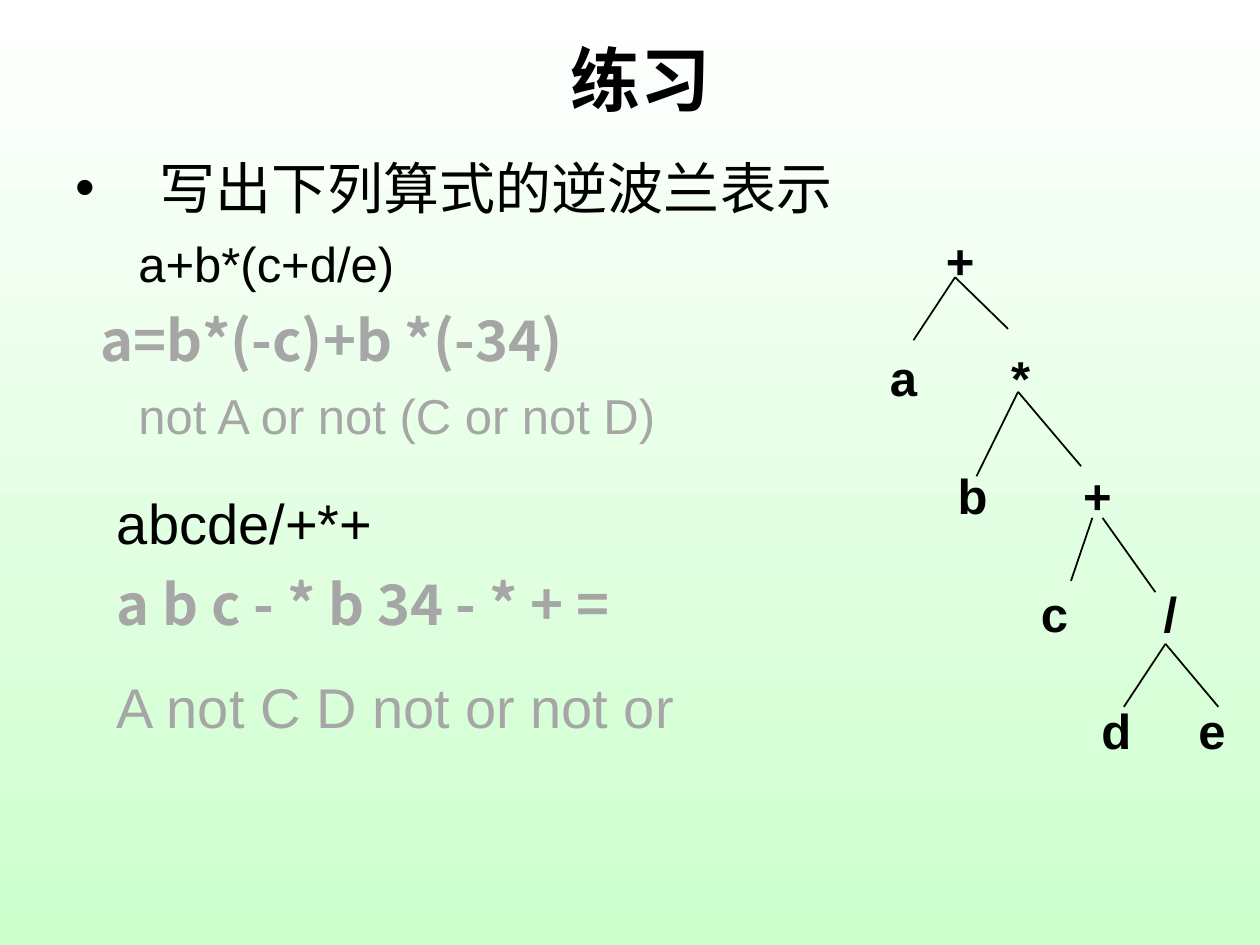
from dataclasses import dataclass

from lxml.etree import SubElement
from pptx import Presentation
from pptx.dml.color import RGBColor
from pptx.enum.shapes import MSO_CONNECTOR
from pptx.enum.text import MSO_ANCHOR, PP_ALIGN
from pptx.oxml.ns import qn
from pptx.util import Inches, Pt


@dataclass(frozen=True)
class Theme:
    ink: RGBColor = RGBColor(0, 0, 0)
    gray: RGBColor = RGBColor(0xA6, 0xA6, 0xA6)
    top: RGBColor = RGBColor(0xFF, 0xFF, 0xFF)
    base: RGBColor = RGBColor(0xCC, 0xFF, 0xCC)
    latin: str = "Arial"
    han: str = "Noto Sans CJK SC"
    head: int = 40
    large: int = 32
    small: int = 28
    lead: float = 1.2
    rule: int = 1


def apply(item, values):
    for name, value in values.items():
        setattr(item, name, value)


class Page:
    def __init__(self, deck, theme):
        self.theme = theme
        self.slide = deck.slides.add_slide(deck.slide_layouts[5])

    def backdrop(self):
        fill = self.slide.background.fill
        fill.gradient()
        fill.gradient_angle = 270
        for stop, color in zip(fill.gradient_stops, (self.theme.top, self.theme.base)):
            stop.color.rgb = color

    def font(self, item, size, color, bold=False, name=None):
        apply(item, {"name": name or self.theme.latin, "size": Pt(size), "bold": bold})
        item.color.rgb = color

    def title(self, text, left, top, width, height):
        shape = self.slide.shapes.title
        apply(shape, {"left": Inches(left), "top": Inches(top),
                      "width": Inches(width), "height": Inches(height)})
        frame = shape.text_frame
        apply(frame, {"text": text, "vertical_anchor": MSO_ANCHOR.MIDDLE})
        para = frame.paragraphs[0]
        para.alignment = PP_ALIGN.CENTER
        self.font(para.runs[0].font, self.theme.head, self.theme.ink, True)

    def text(self, lines, left, top, width, height, align=PP_ALIGN.LEFT, wrap=True):
        box = self.slide.shapes.add_textbox(*map(Inches, (left, top, width, height)))
        frame = box.text_frame
        frame.word_wrap = wrap
        for i, (words, size, color, bold, name, indent, gap, mark) in enumerate(lines):
            para = frame.paragraphs[0] if i == 0 else frame.add_paragraph()
            apply(para, {"alignment": align, "space_before": Pt(gap),
                         "line_spacing": Pt(size * self.theme.lead)})
            props = para._p.get_or_add_pPr()
            props.set("marL", str(Inches(indent)))
            props.set("indent", str(-Inches(indent) if mark else 0))
            if mark:
                SubElement(props, qn("a:buFont")).set("typeface", self.theme.latin)
                SubElement(props, qn("a:buChar")).set("char", mark)
            else:
                SubElement(props, qn("a:buNone"))
            run = para.add_run()
            run.text = words
            self.font(run.font, size, color, bold, name)

    def node(self, sign, center, top):
        theme = self.theme
        line = (sign, theme.small, theme.ink, True, theme.latin, 0, 0, None)
        self.text([line], center - 0.25, top, 0.5, 0.57, PP_ALIGN.CENTER, False)

    def edge(self, start, end):
        line = self.slide.shapes.add_connector(
            MSO_CONNECTOR.STRAIGHT, *map(Inches, (*start, *end)))
        line.line.width = Pt(self.theme.rule)
        line.line.color.rgb = self.theme.ink
        SubElement(line._element.spPr, qn("a:effectLst"))


def main():
    deck = Presentation()
    apply(deck, {"slide_width": Inches(10), "slide_height": Inches(7.5)})
    theme = Theme()
    page = Page(deck, theme)
    page.backdrop()
    page.title("练习", 0.58, 0, 9, 1.25)

    big, small, ink, gray = theme.large, theme.small, theme.ink, theme.gray
    latin, han = theme.latin, theme.han
    page.text([
        ("写出下列算式的逆波兰表示", big, ink, False, latin, 0.67, 0, "•"),
        ("a+b*(c+d/e)", small, ink, False, latin, 0.5, 7, None),
        ("a=b*(-c)+b *(-34)", big, gray, True, han, 0.2, 8, None),
        ("not A or not (C or not D)", small, gray, False, latin, 0.5, 7, None),
    ], 0.5, 1.17, 9.08, 2.58)
    page.text([
        ("abcde/+*+", big, ink, False, latin, 0, 0, None),
        ("a b c - * b 34 - * + =", big, gray, True, han, 0, 8, None),
        ("A not C D not or not or", big, gray, False, latin, 0, 20, None),
    ], 0.83, 3.83, 6.42, 2.09)

    tree = [
        [("+", 7.62)],
        [("a", 7.17), ("*", 8.1)],
        [("b", 7.72), ("+", 8.71)],
        [("c", 8.37), ("/", 9.29)],
        [("d", 8.86), ("e", 9.62)],
    ]
    step = 2 * small * theme.lead / 72
    for level, row in enumerate(tree):
        for sign, center in row:
            page.node(sign, center, 1.78 + level * step)

    for start, end in [
        ((7.58, 2.2), (7.25, 2.7)), ((7.58, 2.2), (8, 2.61)),
        ((8.08, 3.11), (7.75, 3.78)), ((8.08, 3.11), (8.58, 3.7)),
        ((8.67, 4.11), (8.5, 4.61)), ((8.75, 4.11), (9.17, 4.7)),
        ((9.25, 5.11), (8.92, 5.61)), ((9.25, 5.11), (9.67, 5.61)),
    ]:
        page.edge(start, end)

    deck.save("out.pptx")


if __name__ == "__main__":
    main()
